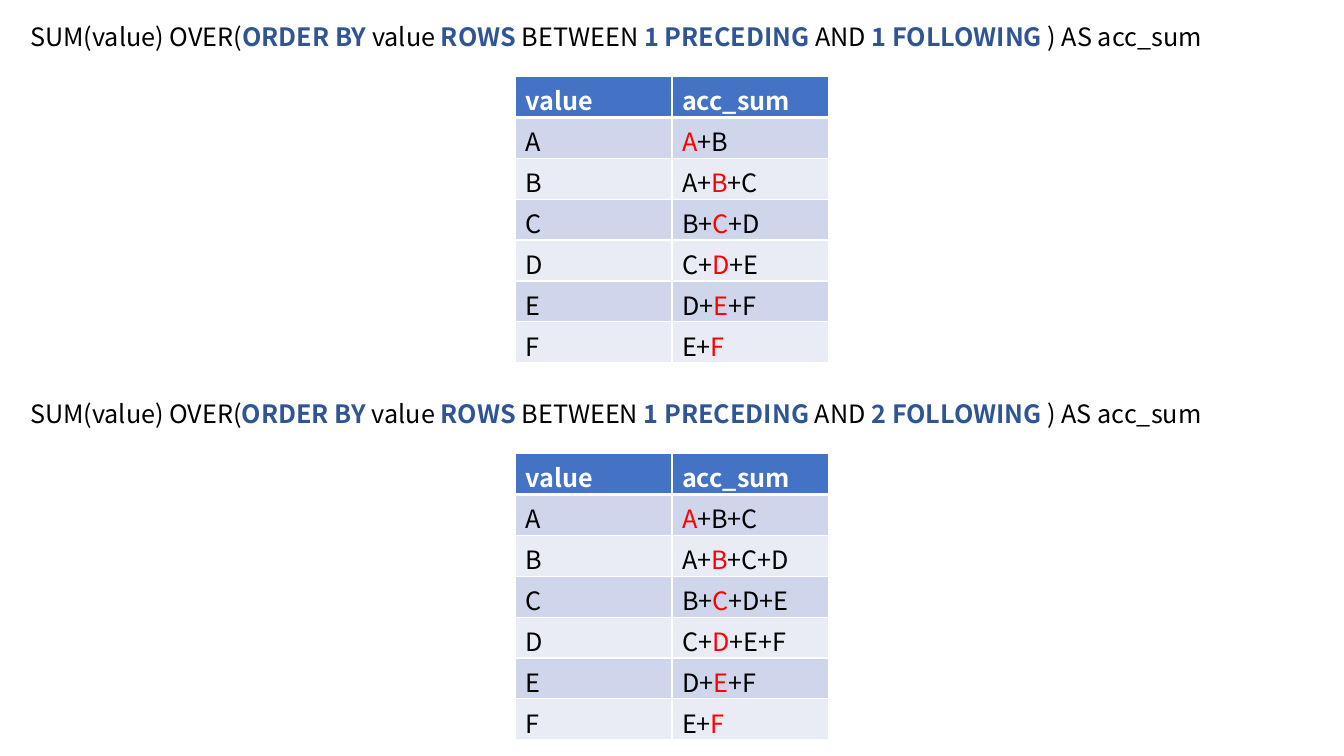
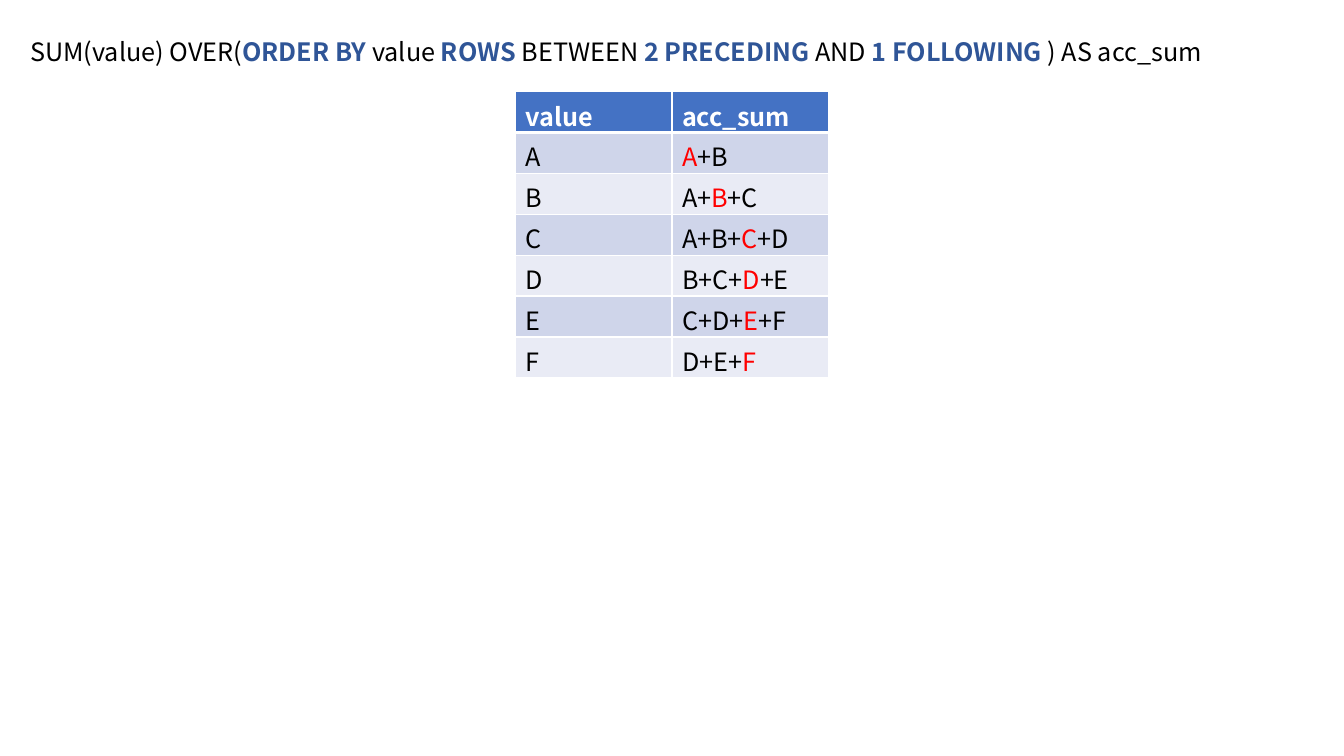
from lxml.etree import SubElement
from pptx import Presentation
from pptx.dml.color import RGBColor
from pptx.enum.text import MSO_ANCHOR, MSO_AUTO_SIZE, PP_ALIGN
from pptx.oxml.ns import qn
from pptx.util import Inches, Pt

FONT = "Noto Sans CJK KR"
BLACK, WHITE, RED = "000000", "FFFFFF", "FF0000"
NAVY, BLUE = "2F5597", "4472C4"
BANDS = ["CFD5EA", "E9EBF5"]
NAMES = "ABCDEF"


def shade(code):
    return RGBColor.from_string(code)


def write(para, text, size=18, color=BLACK, bold=False):
    run = para.add_run()
    run.text = text
    font = run.font
    font.name, font.size, font.bold = FONT, Pt(size), bold
    font.color.rgb = shade(color)


def edge(cell, side, width):
    line = SubElement(cell._tc.get_or_add_tcPr(), qn(f"a:ln{side}"), w=str(Pt(width)))
    fill = SubElement(line, qn("a:solidFill"))
    SubElement(fill, qn("a:srgbClr"), val=WHITE)


class Deck:
    def __init__(self):
        self.show = Presentation()
        self.show.slide_width = Inches(13.33)
        self.show.slide_height = Inches(7.5)
        self.slide = None

    def page(self):
        self.slide = self.show.slides.add_slide(self.show.slide_layouts[5])

    def query(self, box, top, before, after):
        box.left, box.top = Inches(0.2), Inches(top)
        box.width, box.height = Inches(11.97), Inches(0.4)
        frame = box.text_frame
        frame.word_wrap = False
        frame.auto_size = MSO_AUTO_SIZE.SHAPE_TO_FIT_TEXT
        frame.vertical_anchor = MSO_ANCHOR.TOP
        para = frame.paragraphs[0]
        para.alignment = PP_ALIGN.LEFT
        parts = ["SUM(value) OVER(", "ORDER BY ", "value ", "ROWS", " BETWEEN ",
                 f"{before} PRECEDING ", "AND ", f"{after} FOLLOWING ", ") AS acc_sum"]
        for i, part in enumerate(parts):
            key = i % 2 == 1
            write(para, part, color=NAVY if key else BLACK, bold=key)

    def cell(self, grid, row, col, fill, runs):
        cell = grid.cell(row, col)
        for side in "LRTB":
            thick = (row, side) in [(0, "B"), (1, "T")]
            edge(cell, side, 3 if thick else 1)
        cell.fill.solid()
        cell.fill.fore_color.rgb = shade(fill)
        for text, style in runs:
            if text:
                write(cell.text_frame.paragraphs[0], text, **style)

    def table(self, top, before, after):
        grid = self.slide.shapes.add_table(
            len(NAMES) + 1, 2, Inches(5.11), Inches(top), Inches(3.11), Inches(2.84)).table
        for col, head in enumerate(["value", "acc_sum"]):
            self.cell(grid, 0, col, BLUE, [(head, {"color": WHITE, "bold": True})])
        for i, name in enumerate(NAMES):
            fill = BANDS[i % 2]
            left = "".join(f"{n}+" for n in NAMES[max(0, i - before):i])
            right = "".join(f"+{n}" for n in NAMES[i + 1:i + 1 + after])
            self.cell(grid, i + 1, 0, fill, [(name, {})])
            self.cell(grid, i + 1, 1, fill, [(left, {}), (name, {"color": RED}), (right, {})])

    def block(self, box, top, before, after):
        self.query(box, top, before, after)
        self.table(top + 0.6, before, after)

    def title(self, top, before, after):
        self.block(self.slide.shapes.title, top, before, after)

    def second(self, top, before, after):
        box = self.slide.shapes.add_textbox(0, 0, 0, 0)
        self.block(box, top, before, after)


def main():
    deck = Deck()
    deck.page()
    deck.title(0.16, 1, 1)
    deck.second(3.9, 1, 2)
    deck.page()
    deck.title(0.31, 2, 1)
    deck.show.save("out.pptx")


if __name__ == "__main__":
    main()
